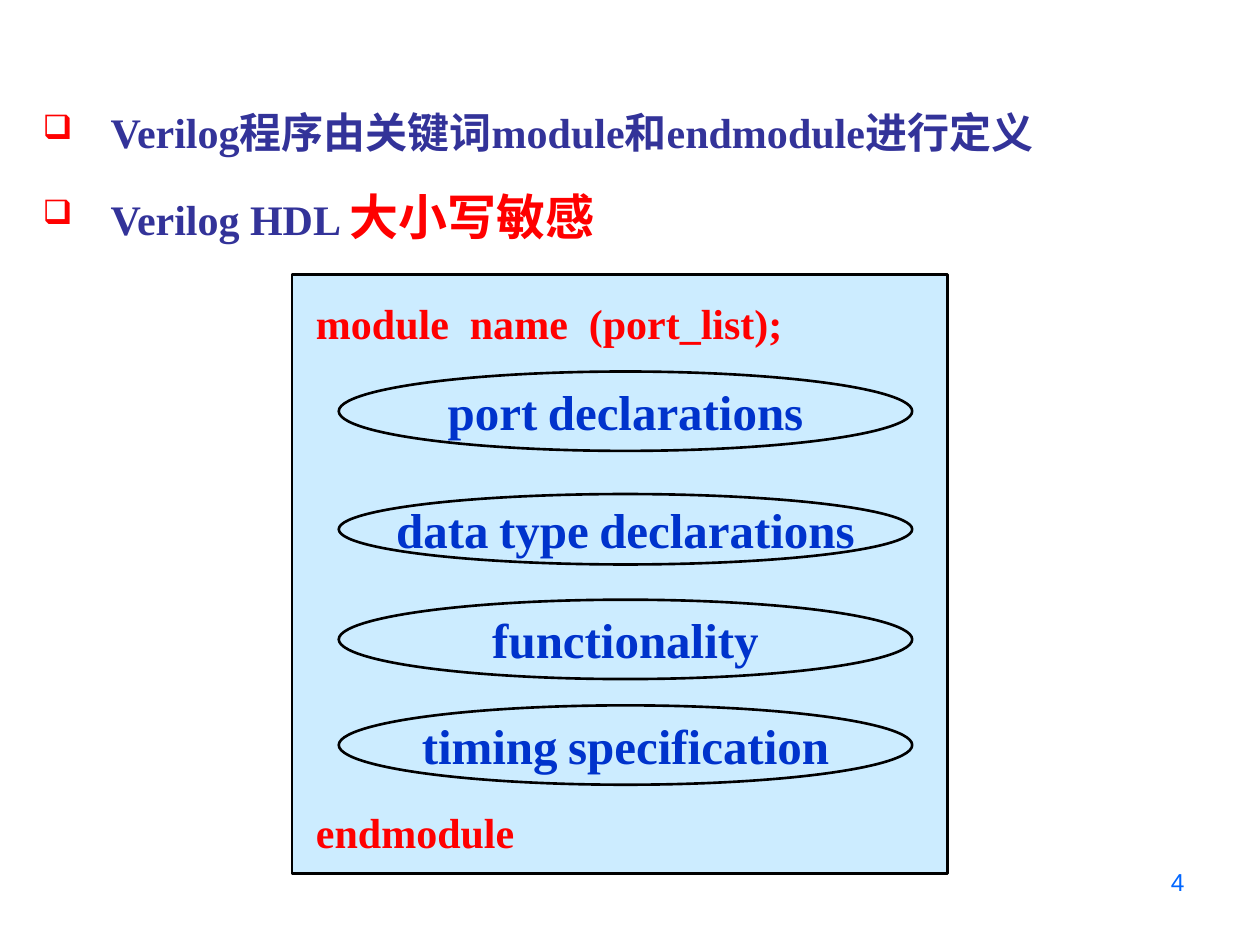
"""Build a slide on the structure of a Verilog module."""
import dataclasses

import lxml.etree
import pptx
import pptx.dml.color
import pptx.enum.shapes
import pptx.enum.text
import pptx.oxml.ns
import pptx.util

Cm = pptx.util.Cm
Shape = pptx.enum.shapes.MSO_SHAPE
Align = pptx.enum.text.PP_ALIGN
Anchor = pptx.enum.text.MSO_ANCHOR


@dataclasses.dataclass(frozen=True)
class Theme:
    serif: str = "Times New Roman"
    sans: str = "Arial"
    text: str = "333399"
    accent: str = "FF0000"
    section: str = "0033CC"
    number: str = "0066FF"
    panel: str = "CCECFF"
    outline: str = "000000"
    body_size: int = 24
    large_size: int = 28
    number_size: int = 14
    line_width: float = 1.5


THEME = Theme()


def rgb(value):
    return pptx.dml.color.RGBColor.from_string(value)


def style(font, color, size, name=THEME.serif, bold=True):
    font.name = name
    font.size = pptx.util.Pt(size)
    font.bold = bold
    font.color.rgb = rgb(color)


def add_panel(slide, kind, left, top, width, height, outlined=True):
    panel = slide.shapes.add_shape(kind, Cm(left), Cm(top), Cm(width), Cm(height))
    panel.shadow.inherit = False
    panel.fill.solid()
    panel.fill.fore_color.rgb = rgb(THEME.panel)
    if outlined:
        panel.line.color.rgb = rgb(THEME.outline)
        panel.line.width = pptx.util.Pt(THEME.line_width)
    else:
        panel.line.fill.background()
    return panel


def add_section(slide, label, top, height):
    frame = add_panel(slide, Shape.OVAL, 6.83, top, 11.56, height).text_frame
    frame.word_wrap = False
    frame.vertical_anchor = Anchor.MIDDLE
    paragraph = frame.paragraphs[0]
    paragraph.alignment = Align.CENTER
    style(paragraph.font, THEME.section, THEME.large_size)
    for index, word in enumerate(label.split()):
        if index:
            gap = paragraph.add_run()
            gap.text = " "
            gap.font.size = pptx.util.Pt(THEME.body_size)
        paragraph.add_run().text = word


def add_keyword_line(slide, code, top, width):
    frame = add_panel(slide, Shape.RECTANGLE, 6.12, top, width, 1.27, False).text_frame
    frame.vertical_anchor = Anchor.TOP
    paragraph = frame.paragraphs[0]
    paragraph.text = code
    paragraph.alignment = Align.LEFT
    style(paragraph.font, THEME.accent, THEME.body_size)


def add_text_box(slide, left, top, width, height):
    frame = slide.shapes.add_textbox(Cm(left), Cm(top), Cm(width), Cm(height)).text_frame
    frame.word_wrap = True
    return frame


def set_bullet(paragraph):
    properties = paragraph._p.get_or_add_pPr()
    properties.set("marL", str(Cm(1.37)))
    properties.set("indent", str(-Cm(1.37)))
    qn = pptx.oxml.ns.qn
    color = lxml.etree.SubElement(properties, qn("a:buClr"))
    lxml.etree.SubElement(color, qn("a:srgbClr"), val=THEME.accent)
    lxml.etree.SubElement(properties, qn("a:buSzPct"), val="80000")
    lxml.etree.SubElement(properties, qn("a:buChar"), char="❑")


def add_points(slide, points):
    frame = add_text_box(slide, 0.61, 1.52, 24.21, 15.01)
    for index, (statement, emphasis) in enumerate(points):
        point = frame.add_paragraph() if index else frame.paragraphs[0]
        set_bullet(point)
        point.alignment = Align.JUSTIFY
        point.line_spacing = 1.5
        style(point.font, THEME.text, THEME.body_size)
        point.add_run().text = statement
        if emphasis:
            stressed = point.add_run()
            stressed.text = emphasis
            style(stressed.font, THEME.accent, THEME.large_size)


def add_slide_number(slide, number):
    paragraph = add_text_box(slide, 18.21, 17.35, 5.92, 1.32).paragraphs[0]
    paragraph.text = number
    paragraph.alignment = Align.RIGHT
    style(paragraph.font, THEME.number, THEME.number_size, THEME.sans, False)


def main():
    deck = pptx.Presentation()
    deck.slide_width, deck.slide_height = Cm(25.4), Cm(19.05)
    slide = deck.slides.add_slide(deck.slide_layouts[6])

    add_points(slide, [
        ("Verilog程序由关键词module和endmodule进行定义", ""),
        ("Verilog HDL ", "大小写敏感"),
    ])
    add_panel(slide, Shape.RECTANGLE, 5.89, 5.54, 13.21, 12.07)
    for label, top, height in [
        ("port declarations", 7.49, 1.6),
        ("data type declarations", 9.96, 1.42),
        ("functionality", 12.09, 1.6),
        ("timing specification", 14.22, 1.6),
    ]:
        add_section(slide, label, top, height)
    add_keyword_line(slide, "endmodule", 16.13, 4.52)
    add_keyword_line(slide, "module  name  (port_list);", 5.87, 10.39)
    add_slide_number(slide, "4")
    deck.save("out.pptx")


if __name__ == "__main__":
    main()
